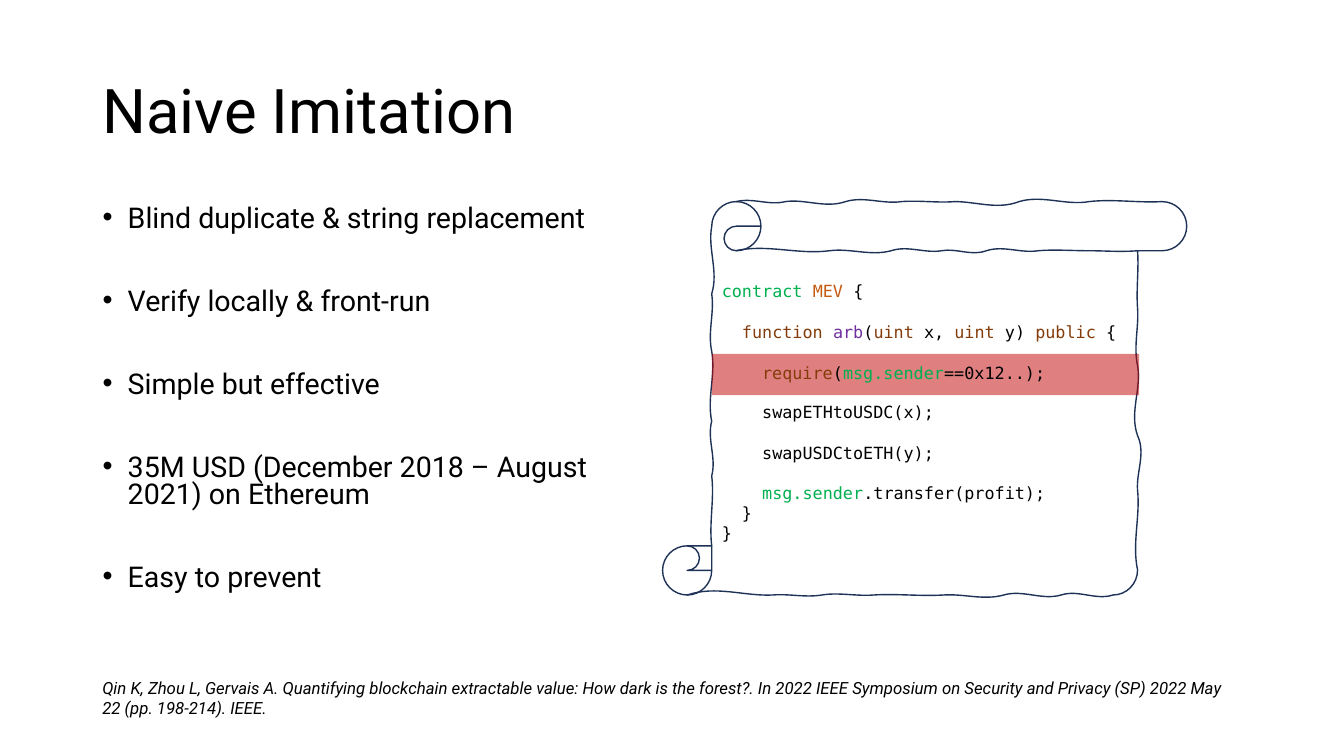
from math import cos, radians, sin

from lxml.etree import SubElement
from pptx import Presentation
from pptx.dml.color import RGBColor
from pptx.enum.shapes import MSO_SHAPE
from pptx.enum.text import MSO_ANCHOR
from pptx.oxml.ns import qn
from pptx.util import Pt

COLORS = {
    "black": "000000",
    "green": "00B050",
    "orange": "C55A11",
    "brown": "843C0B",
    "purple": "7030A0",
    "red": "C00000",
    "navy": "1E3256",
}
BODY_FONT = "Roboto"
CODE_FONT = "DejaVu Sans Mono"
UNITS_PER_POINT = 100

BULLETS = [
    "Blind duplicate & string replacement",
    "Verify locally & front-run",
    "Simple but effective",
    "35M USD (December 2018 – August 2021) on Ethereum",
    "Easy to prevent",
]
CITATION = (
    "Qin K, Zhou L, Gervais A. Quantifying blockchain extractable value: "
    "How dark is the forest?. In 2022 IEEE Symposium on Security and Privacy (SP) "
    "2022 May 22 (pp. 198-214). IEEE."
)
CODE_LINES = [
    (0, [("contract ", "green"), ("MEV", "orange"), (" {", "black")]),
    (14.9, [("  function ", "brown"), ("arb", "purple"), ("(", "black"),
            ("uint", "brown"), (" x, ", "black"), ("uint", "brown"),
            (" y) ", "black"), ("public", "brown"), (" {", "black")]),
    (42.6, [("    swapETHtoUSDC(x);", "black")]),
    (14.6, [("    swapUSDCtoETH(y);", "black")]),
    (14.4, [("    msg.sender", "green"), (".transfer(profit);", "black")]),
    (0, [("  }", "black")]),
    (0, [("}", "black")]),
]
REQUIRE_LINE = [
    (0, [("require", "brown"), ("(", "black"),
         ("msg.sender", "green"), ("==0x12..);", "black")]),
]

LEFT_WAVES = [(50, -2, 2), (89, 3.5, -3.5), (139, -3.5, 3), (180, -3, 2), (228, 5, -3)]
TOP_WAVES = [(35, -3, 3), (78, -2, 5), (118, -4, 2), (156, -1, 1),
             (202, 0, 6), (252, -5, 3), (304, -2, 1)]
RIGHT_WAVES = [(41, 1, -1), (82, 1, -3), (132, 3, -6), (171, 6, -1), (228, 2, -4)]
BOTTOM_WAVES = [(37, 4, -4), (78, 4, -4), (121, 4, -1), (171, 1, -1),
                (208, 1, -2), (243, 2, -1), (304, 1, -7)]
FOLD_WAVES = [(35, 1, 0), (71, 0, -1), (108, 2, -4), (140, 4, -2),
              (176, 2, -4), (220, 4, -2), (287, 3, -5)]


def rgb(name):
    return RGBColor.from_string(COLORS[name])


def add_text_frame(slide, left, top, width, height):
    box = slide.shapes.add_textbox(Pt(left), Pt(top), Pt(width), Pt(height))
    box.text_frame.word_wrap = True
    return box.text_frame


def style_font(font, name, size, color="black"):
    font.name = name
    font.size = Pt(size)
    font.color.rgb = rgb(color)


def add_title(slide, left, top, width, height):
    frame = add_text_frame(slide, left, top, width, height)
    frame.vertical_anchor = MSO_ANCHOR.MIDDLE
    paragraph = frame.paragraphs[0]
    paragraph.text = "Naive Imitation"
    paragraph.line_spacing = 0.9
    style_font(paragraph.font, BODY_FONT, 44)


def add_bullets(slide, left, top, width, height):
    frame = add_text_frame(slide, left, top, width, height)
    for index, text in enumerate(BULLETS):
        paragraph = frame.add_paragraph() if index else frame.paragraphs[0]
        paragraph.text = text
        paragraph.line_spacing = 0.8
        if index:
            paragraph.space_before = Pt(39.6)
        properties = paragraph._p.get_or_add_pPr()
        properties.set("marL", str(Pt(18)))
        properties.set("indent", str(-Pt(18)))
        SubElement(properties, qn("a:buFont")).set("typeface", "Arial")
        SubElement(properties, qn("a:buChar")).set("char", "•")
        style_font(paragraph.font, BODY_FONT, 20.4)


def line_to(x, y):
    return [((x, y), (x, y), (x, y))]


def arc(x, y, radius, start, end):
    turn = 90 if end > start else -90
    reach = 0.55 * turn / 90
    curves = []
    for angle in range(start, end, turn):
        (ax, ay), (bx, by) = [
            (cos(radians(a)), sin(radians(a))) for a in (angle, angle + turn)]
        offsets = [(ax - reach * ay, ay + reach * ax),
                   (bx + reach * by, by - reach * bx), (bx, by)]
        curves.append([(x + radius * dx, y + radius * dy) for dx, dy in offsets])
    return curves


def wavy_edge(x, y, direction, waves):
    step_x, step_y = direction
    curves = []
    start = 0
    for stop, first, second in waves:
        third = (stop - start) / 3
        offsets = [(start + third, first), (stop - third, second), (stop, 0)]
        curves.append([(x + step_x * along + abs(step_y) * sway,
                        y + step_y * along + abs(step_x) * sway)
                       for along, sway in offsets])
        start = stop
    return curves


def in_units(point):
    return [round(value * UNITS_PER_POINT) for value in point]


def add_curves(slide, left, top, strokes):
    first_start = strokes[0][0]
    builder = slide.shapes.build_freeform(
        *in_units(first_start), scale=Pt(1) / UNITS_PER_POINT)
    for index, (start, curves) in enumerate(strokes):
        if index:
            builder.move_to(*in_units(start))
        builder.add_line_segments([in_units(curve[2]) for curve in curves], close=False)
    shape = builder.convert_to_shape(Pt(left), Pt(top))
    all_curves = [curve for _, curves in strokes for curve in curves]
    segments = list(shape._element.iter(qn("a:lnTo")))
    for segment, curve in zip(segments, all_curves):
        segment.tag = qn("a:cubicBezTo")
        segment.clear()
        for point in curve:
            x, y = in_units(point)
            node = SubElement(segment, qn("a:pt"))
            node.set("x", str(x))
            node.set("y", str(y))
    return shape


def add_scroll(slide, left, top, width, height):
    roll = height / 16
    sheet_left, sheet_right = 2 * roll, width - 2 * roll
    outline = (
        wavy_edge(sheet_left, height - 2 * roll, (0, -1), LEFT_WAVES)
        + arc(3 * roll, roll, roll, 180, 270)
        + wavy_edge(3 * roll, 0, (1, 0), TOP_WAVES)
        + arc(width - roll, roll, roll, -90, 90)
        + line_to(sheet_right, 2 * roll)
        + wavy_edge(sheet_right, 2 * roll, (0, 1), RIGHT_WAVES)
        + arc(width - 3 * roll, height - roll, roll, 0, 90)
        + wavy_edge(width - 3 * roll, height, (-1, 0), BOTTOM_WAVES)
        + arc(roll, height - roll, roll, 90, 270)
        + line_to(sheet_left, height - 2 * roll)
    )
    top_curl = (
        arc(3 * roll, roll, roll, -90, 90)
        + arc(3 * roll, 1.5 * roll, roll / 2, 90, 270)
        + line_to(4 * roll, roll)
    )
    bottom_curl = (
        arc(roll, height - 1.5 * roll, roll / 2, -90, 90)
        + line_to(sheet_left, height - roll)
    )
    bottom_end = (
        arc(roll, height - roll, roll, 90, 0)
        + line_to(sheet_left, height - 2 * roll)
    )
    scroll = add_curves(slide, left, top, [
        ((sheet_left, height - 2 * roll), outline),
        ((3 * roll, 0), top_curl),
        ((sheet_right, 2 * roll),
         wavy_edge(sheet_right, 2 * roll, (-1, 0), FOLD_WAVES)),
        ((roll, height - 2 * roll), bottom_curl),
        ((roll, height), bottom_end),
    ])
    scroll.shadow.inherit = False
    scroll.fill.background()
    scroll.line.color.rgb = rgb("navy")
    scroll.line.width = Pt(1)


def add_code(slide, left, top, width, height, lines):
    frame = add_text_frame(slide, left, top, width, height)
    for index, (gap, pieces) in enumerate(lines):
        paragraph = frame.add_paragraph() if index else frame.paragraphs[0]
        if gap:
            paragraph.space_before = Pt(gap)
        for text, color in pieces:
            run = paragraph.add_run()
            run.text = text
            style_font(run.font, CODE_FONT, 12, color)


def add_highlight(slide, left, top, width, height):
    band = slide.shapes.add_shape(
        MSO_SHAPE.RECTANGLE, Pt(left), Pt(top), Pt(width), Pt(height))
    band.shadow.inherit = False
    band.line.fill.background()
    band.fill.solid()
    band.fill.fore_color.rgb = rgb("red")
    color = band.fill._xPr.find(qn("a:solidFill"))[0]
    SubElement(color, qn("a:alpha")).set("val", "50000")


def add_citation(slide, left, top, width, height):
    frame = add_text_frame(slide, left, top, width, height)
    paragraph = frame.paragraphs[0]
    paragraph.text = CITATION
    style_font(paragraph.font, BODY_FONT, 12)
    paragraph.font.italic = True


presentation = Presentation()
presentation.slide_width = Pt(960)
presentation.slide_height = Pt(540)
slide = presentation.slides.add_slide(presentation.slide_layouts[6])
add_title(slide, 66, 28.8, 828, 104.4)
add_bullets(slide, 66.2, 144, 380, 281)
add_scroll(slide, 473.3, 144, 374.4, 281)
add_code(slide, 508.5, 197.3, 299.5, 196.6, CODE_LINES)
add_highlight(slide, 508.5, 252.7, 305.3, 29.5)
add_code(slide, 537.3, 255.6, 232.6, 21.6, REQUIRE_LINE)
add_citation(slide, 66, 480.6, 821.5, 36)
presentation.save("out.pptx")
